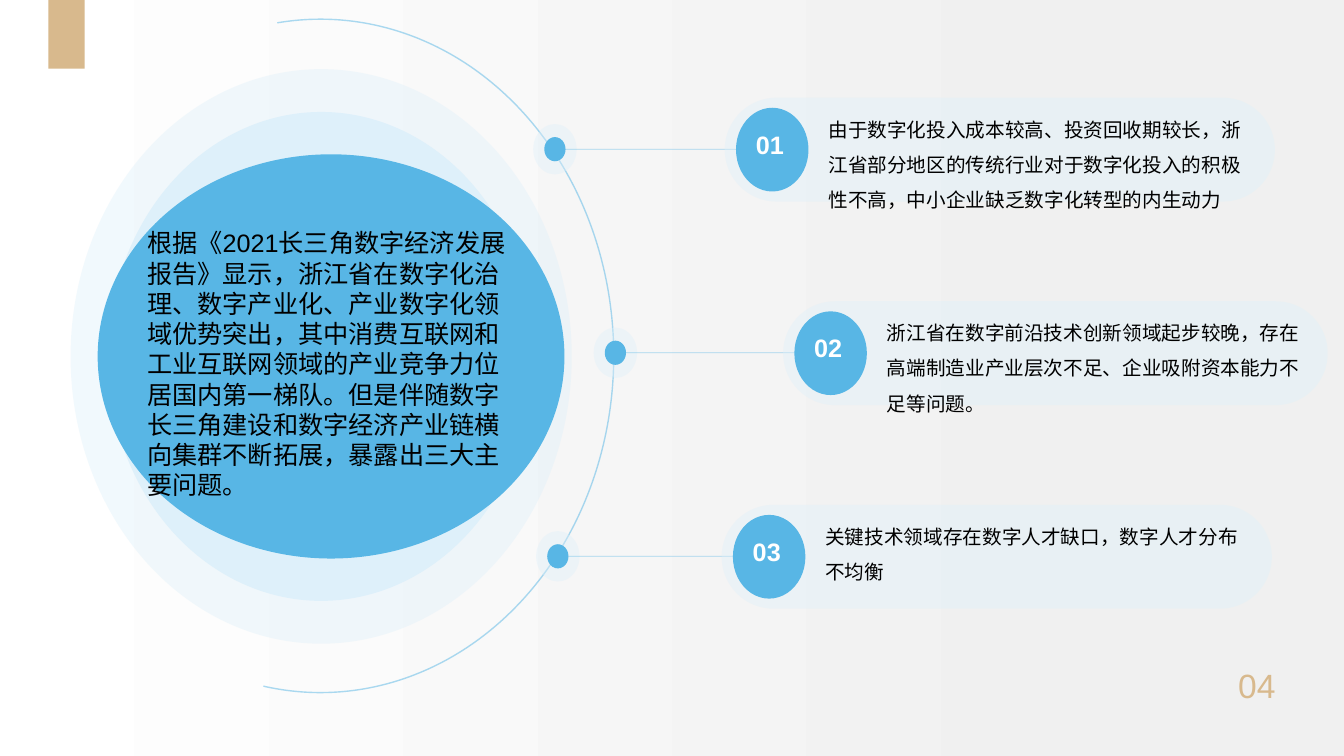
from dataclasses import dataclass

from lxml.etree import SubElement
from pptx import Presentation
from pptx.dml.color import RGBColor
from pptx.enum.shapes import MSO_CONNECTOR, MSO_SHAPE
from pptx.enum.text import MSO_AUTO_SIZE, PP_ALIGN
from pptx.oxml.ns import qn
from pptx.util import Pt


@dataclass(frozen=True)
class Theme:
    font: str = "Arial"
    blue: str = "58B6E5"
    pale: str = "DEF0FA"
    gold: str = "D8B98D"
    black: str = "000000"
    white: str = "FFFFFF"
    grey: str = "F0F0F0"
    body: int = 14
    lead: int = 18
    page_number: int = 24


THEME = Theme()
WIDTH, HEIGHT = 960, 540
LEAD = (
    "根据《2021长三角数字经济发展报告》显示，浙江省在数字化治理、数字产业化、产业数字化领域优势突出，"
    "其中消费互联网和工业互联网领域的产业竞争力位居国内第一梯队。"
    "但是伴随数字长三角建设和数字经济产业链横向集群不断拓展，暴露出三大主要问题。"
)
PROBLEMS = [
    (396.4, 517.7, 393, 81,
     "由于数字化投入成本较高、投资回收期较长，浙江省部分地区的传统行业对于数字化投入的积极性不高，"
     "中小企业缺乏数字化转型的内生动力"),
    (439.6, 559.4, 389, 81,
     "浙江省在数字前沿技术创新领域起步较晚，存在高端制造业产业层次不足、企业吸附资本能力不足等问题。"),
    (398.5, 515.5, 393, 55,
     "关键技术领域存在数字人才缺口，数字人才分布不均衡"),
]
FIRST_CENTER, ROW_STEP = 106.6, 145.4


def set_opacity(element, percent):
    color = next(element.iter(qn("a:srgbClr")))
    SubElement(color, qn("a:alpha")).set("val", str(percent * 1000))


def add_filled(page, kind, box, color, opacity=100):
    shape = page.shapes.add_shape(kind, *map(Pt, box))
    shape.shadow.inherit = False
    shape.fill.solid()
    shape.fill.fore_color.rgb = RGBColor.from_string(color)
    shape.line.fill.background()
    if opacity < 100:
        set_opacity(shape.fill._xPr, opacity)
    return shape


def add_centered(page, center, size, color, opacity=100):
    (x, y), (width, height) = center, size
    box = (x - width / 2, y - height / 2, width, height)
    add_filled(page, MSO_SHAPE.OVAL, box, color, opacity)


def style_line(line, width):
    line.color.rgb = RGBColor.from_string(THEME.blue)
    line.width = Pt(width)
    set_opacity(line._ln, 50)


def add_text(page, box, text, size, color, bold=False, wrap=True, align=None, spacing=None):
    frame = page.shapes.add_textbox(*map(Pt, box)).text_frame
    frame.word_wrap = wrap
    frame.auto_size = MSO_AUTO_SIZE.SHAPE_TO_FIT_TEXT
    frame.text = text
    para = frame.paragraphs[0]
    para.alignment = align
    para.line_spacing = spacing
    span = para.runs[0]
    span.font.name = THEME.font
    span.font.size = Pt(size)
    span.font.bold = bold
    span.font.color.rgb = RGBColor.from_string(color)


def paint_background(page):
    fill = page.background.fill
    fill.gradient()
    fill.gradient_angle = 0
    stops = zip(fill.gradient_stops, (0, 0.8), (THEME.white, THEME.grey))
    for stop, position, color in stops:
        stop.position = position
        stop.color.rgb = RGBColor.from_string(color)


def add_page_marks(page):
    add_filled(page, MSO_SHAPE.RECTANGLE, (34.5, 0, 26, 49), THEME.gold)
    add_text(page, (871, 471.6, 53.5, 36), "04", THEME.page_number, THEME.gold,
             align=PP_ALIGN.CENTER)


def add_hub(page, box):
    left, top, width, height = box
    arc = page.shapes.add_shape(MSO_SHAPE.ARC, *map(Pt, box))
    arc.shadow.inherit = False
    arc.adjustments[0], arc.adjustments[1] = 157.57, 59.88
    arc.fill.background()
    style_line(arc.line, 1)
    middle = top + height / 2 + 0.4
    discs = [
        (229.4, (358, 410.4), THEME.pale, 40),
        (229.4, (304.6, 349.2), THEME.pale, 100),
        (236.5, (333.4, 288.7), THEME.blue, 100),
    ]
    for x, size, color, opacity in discs:
        add_centered(page, (x, middle), size, color, opacity)


def add_problem(page, number, center, dot_x, box, text_height, text):
    left, top, width, height = box
    add_centered(page, (dot_x, center), (31, 36), THEME.pale, 40)
    add_centered(page, (dot_x, center), (15.2, 17.3), THEME.blue)
    link = page.shapes.add_connector(
        MSO_CONNECTOR.STRAIGHT, Pt(dot_x - 5), Pt(center), Pt(left + 35), Pt(center))
    style_line(link.line, 0.5)
    SubElement(link._element.spPr, qn("a:effectLst"))
    pill = add_filled(page, MSO_SHAPE.ROUNDED_RECTANGLE, box, THEME.pale, 40)
    pill.adjustments[0] = 0.5
    add_text(page, (left + 67, top + 2.2, width - 74, text_height), text,
             THEME.body, THEME.black, spacing=1.5)
    add_filled(page, MSO_SHAPE.OVAL, (left + 8, top + 7.2, 51.8, 59.8), THEME.blue)
    add_text(page, (left + 15.1, top + 18.7, 38, 36.7), f"{number:02d}",
             THEME.lead, THEME.white, bold=True, wrap=False)


def main():
    deck = Presentation()
    deck.slide_width, deck.slide_height = Pt(WIDTH), Pt(HEIGHT)
    page = deck.slides.add_slide(deck.slide_layouts[6])
    paint_background(page)
    add_page_marks(page)
    add_hub(page, (19.4, 13.7, 419, 481))
    for row, (dot_x, left, width, text_height, text) in enumerate(PROBLEMS):
        center = FIRST_CENTER + row * ROW_STEP
        box = (left, center - 36.8, width, 74.2)
        add_problem(page, row + 1, center, dot_x, box, text_height, text)
    add_text(page, (98, 159.1, 275.8, 203.8), LEAD, THEME.lead, THEME.black)
    deck.save("out.pptx")


if __name__ == "__main__":
    main()
